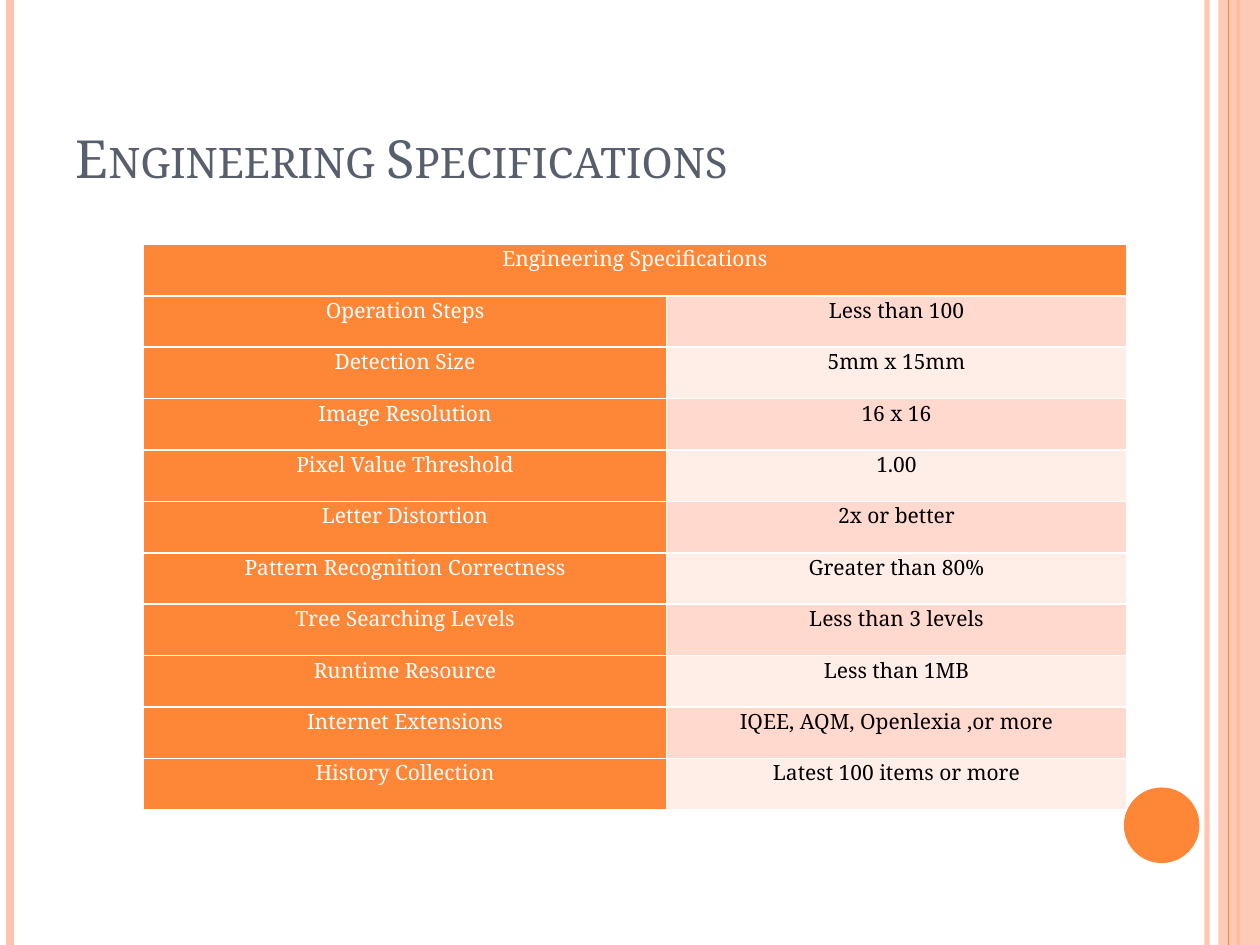
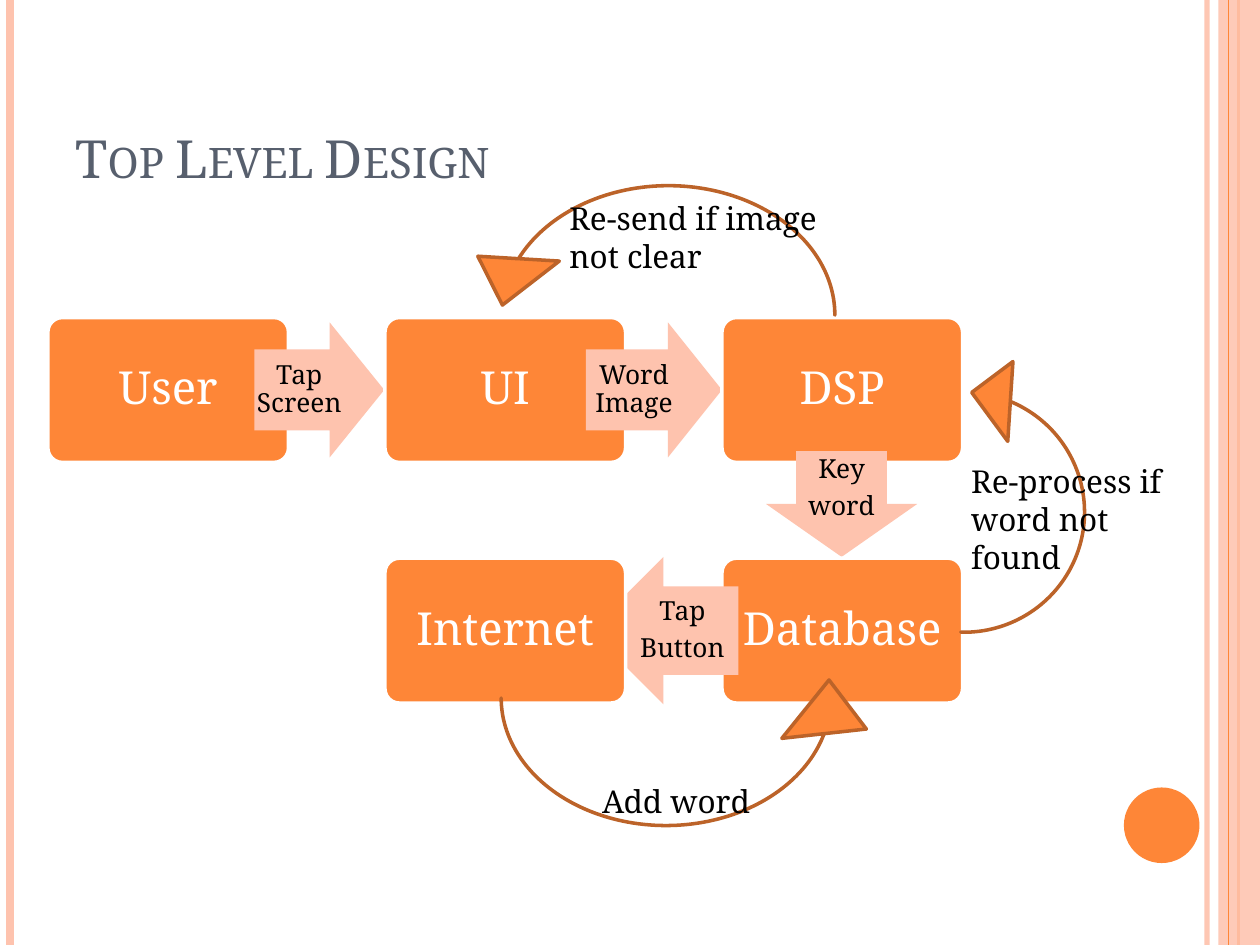
from lxml.etree import SubElement
from pptx import Presentation
from pptx.dml.color import RGBColor
from pptx.enum.shapes import MSO_CONNECTOR, MSO_SHAPE
from pptx.enum.text import MSO_ANCHOR, MSO_AUTO_SIZE, PP_ALIGN
from pptx.oxml.ns import qn
from pptx.util import Inches, Pt

COLORS = {
    "orange": "FE8637", "peach": "FEC3AE", "rust": "BC6329",
    "slate": "575F6D", "white": "FFFFFF", "black": "000000",
    "odd": "FFD9CE", "even": "FFEDE8",
}
FONT = "Noto Serif"

# Format values
TITLE = {"word_wrap": True, "auto_size": MSO_AUTO_SIZE.NONE,
         "vertical_anchor": MSO_ANCHOR.BOTTOM}
CENTER = {"word_wrap": True, "vertical_anchor": MSO_ANCHOR.MIDDLE}
NOTE = {"word_wrap": True, "vertical_anchor": MSO_ANCHOR.TOP}
CELL = {"margin_left": Inches(0.07), "margin_right": Inches(0.07),
        "margin_top": 0, "margin_bottom": 0,
        "vertical_anchor": MSO_ANCHOR.TOP}
TIGHT = {"alignment": PP_ALIGN.CENTER, "line_spacing": 0.9,
         "space_after": Pt(5)}

SPECS = [
    ("Operation Steps", "Less than 100"),
    ("Detection Size", "5mm x 15mm"),
    ("Image Resolution", "16 x 16"),
    ("Pixel Value Threshold", "1.00"),
    ("Letter Distortion", "2x or better"),
    ("Pattern Recognition Correctness", "Greater than 80%"),
    ("Tree Searching Levels", "Less than 3 levels"),
    ("Runtime Resource", "Less than 1MB"),
    ("Internet Extensions", "IQEE, AQM, Openlexia ,or more"),
    ("History Collection", "Latest 100 items or more"),
]


def rgb(name):
    return RGBColor.from_string(COLORS[name])


def apply(target, values):
    for key, value in values.items():
        setattr(target, key, value)


def box(*sides):
    return [Inches(side) for side in sides]


def paint(shape, fill, line=None, width=2):
    shape.shadow.inherit = False
    shape.fill.solid()
    shape.fill.fore_color.rgb = rgb(fill)
    if line:
        shape.line.color.rgb = rgb(line)
        shape.line.width = Pt(width)
    else:
        shape.line.fill.background()


def fade(shape, percent):
    color = next(shape.element.spPr.iter(qn("a:srgbClr")))
    SubElement(color, qn("a:alpha"), val=str(percent * 1000))


def write(frame, text, size, color, **values):
    """Fill a text frame, one paragraph to each line of text."""
    frame.text = text
    for para in frame.paragraphs:
        apply(para, values)
        for run in para.runs:
            apply(run.font, {"name": FONT, "size": Pt(size)})
            run.font.color.rgb = rgb(color)


# Shared parts
def add_bar(slide, x, color, width):
    bar = slide.shapes.add_connector(
        MSO_CONNECTOR.STRAIGHT, *box(x, 0, x, 7.5))
    bar.line.color.rgb = rgb(color)
    bar.line.width = Pt(width)
    SubElement(bar.element.spPr, qn("a:effectLst"))
    return bar


def add_frame(slide):
    """Draw the side bands and the disc, then hand them to the layout."""
    shapes = slide.shapes
    edge = add_bar(slide, 9.58, "peach", 3)
    fade(edge, 93)
    parts = [edge, add_bar(slide, 0.08, "peach", 4.5),
             add_bar(slide, 9.83, "orange", 1.5)]
    band = shapes.add_shape(MSO_SHAPE.RECTANGLE, *box(9.67, 0, 0.33, 7.5))
    paint(band, "peach")
    fade(band, 87)
    parts += [band, add_bar(slide, 9.75, "orange", 0.75)]
    disc = shapes.add_shape(MSO_SHAPE.OVAL, *box(8.92, 6.25, 0.6, 0.6))
    paint(disc, "orange")
    tree = slide.slide_layout.shapes.element
    for part in parts + [disc]:
        tree.append(part.element)


def add_title(slide, text):
    title = slide.shapes.title
    sides = box(0.5, 0.3, 8.17, 1.25)
    apply(title, dict(zip(("left", "top", "width", "height"), sides)))
    apply(title.text_frame, TITLE)
    write(title.text_frame, text, 30, "slate", alignment=PP_ALIGN.LEFT)
    run = title.text_frame.paragraphs[0].runs[0]
    run.font.element.set("cap", "small") if hasattr(run.font, "element") \
        else run._r.get_or_add_rPr().set("cap", "small")


# Table
def fill_cell(cell, text, fill, color):
    apply(cell, CELL)
    write(cell.text_frame, text, 12, color, alignment=PP_ALIGN.CENTER)
    props = cell._tc.get_or_add_tcPr()
    for side in "LRTB":
        line = SubElement(props, qn("a:ln" + side), w=str(Pt(1)))
        solid = SubElement(line, qn("a:solidFill"))
        SubElement(solid, qn("a:srgbClr"), val=COLORS["white"])
    cell.fill.solid()
    cell.fill.fore_color.rgb = rgb(fill)


def add_specs(slide, head):
    count = len(SPECS) + 1
    table = slide.shapes.add_table(
        count, 2, *box(1.14, 1.94, 7.8, 4.49)).table
    for col, width in zip(table.columns, (4.15, 3.65)):
        col.width = Inches(width)
    for row in table.rows:
        row.height = Inches(4.49 / count)
    table.cell(0, 0).merge(table.cell(0, 1))
    fill_cell(table.cell(0, 0), head, "orange", "white")
    for row, (name, value) in enumerate(SPECS, 1):
        fill_cell(table.cell(row, 0), name, "orange", "white")
        fill_cell(table.cell(row, 1), value,
                  "odd" if row % 2 else "even", "black")


# Diagram
def add_label(shape, text, size, color, inset):
    frame = shape.text_frame
    sides = ("margin_left", "margin_top", "margin_right", "margin_bottom")
    apply(frame, CENTER | dict(zip(sides, box(*inset))))
    write(frame, text, size, color, **TIGHT)


def add_node(slide, text, col, row):
    node = slide.shapes.add_shape(
        MSO_SHAPE.ROUNDED_RECTANGLE,
        *box(0.38 + 2.675 * col, 2.52 + 1.91 * row, 1.91, 1.15))
    node.adjustments[0] = 0.1
    paint(node, "orange", "white")
    add_label(node, text, 26, "white", (0.1, 0.1, 0.1, 0.1))


def add_step(slide, kind, text, sides, head, inset=(0, 0, 0, 0)):
    step = slide.shapes.add_shape(kind, *box(*sides))
    step.adjustments[0] = 0.6
    step.adjustments[1] = head
    paint(step, "peach")
    add_label(step, text, 15, "black", inset)


def add_loop(slide, sides, flip, adjust, turn=0):
    loop = slide.shapes.add_shape(MSO_SHAPE.CIRCULAR_ARROW, *box(*sides))
    for pos, value in enumerate(adjust):
        loop.adjustments[pos] = value
    loop.rotation = turn
    loop.element.spPr.xfrm.set(flip, "1")
    paint(loop, "orange", "rust")


def add_note(slide, text, sides):
    note = slide.shapes.add_textbox(*box(*sides))
    apply(note.text_frame, NOTE)
    write(note.text_frame, text, 18, "black")


def add_design(slide):
    right = MSO_SHAPE.RIGHT_ARROW
    # Nodes and the steps between them
    add_node(slide, "User", 0, 0)
    add_step(slide, right, "Tap Screen", (2.02, 2.56, 1.03, 1.07), 0.42,
             (0, 0, 0.06, 0))
    add_node(slide, "UI", 1, 0)
    add_step(slide, right, "Word Image", (4.65, 2.56, 1.08, 1.07), 0.4,
             (0, 0, 0.06, 0))
    add_node(slide, "DSP", 2, 0)
    add_step(slide, MSO_SHAPE.DOWN_ARROW, "Key\nword",
             (6.08, 3.58, 1.2, 0.84), 0.5)
    add_node(slide, "Database", 2, 1)
    add_step(slide, MSO_SHAPE.LEFT_ARROW, "Tap\nButton",
             (4.68, 4.42, 1.18, 1.17), 0.5, (0, 0, 0.06, 0))
    add_node(slide, "Internet", 1, 1)
    # Loops back, each with its note
    add_loop(slide, (3.66, 1.15, 3.29, 2.7), "flipH",
             (0, 10.31, 203.65, 108, 0.12))
    add_note(slide, "Re-send if image not clear", (4.42, 1.53, 2.25, 0.71))
    add_loop(slide, (6.38, 2.79, 2.54, 2.55), "flipH",
             (0, 11.42, 202.35, 107.15, 0.125), 90)
    add_note(slide, "Re-process if word not found", (7.61, 3.62, 2.03, 0.71))
    add_loop(slide, (3.64, 4.19, 3.29, 2.7), "flipV",
             (0, 11.42, 208.37, 108, 0.125))
    add_note(slide, "Add word", (4.68, 6.16, 1.54, 0.4))


def main():
    deck = Presentation()
    deck.slide_width, deck.slide_height = box(10, 7.5)
    layout = deck.slide_layouts[5]
    specs, design = [deck.slides.add_slide(layout) for _ in range(2)]
    add_frame(specs)
    add_title(specs, "Engineering Specifications")
    add_specs(specs, "Engineering Specifications")
    add_title(design, "Top Level Design")
    add_design(design)
    deck.save("out.pptx")


if __name__ == "__main__":
    main()
